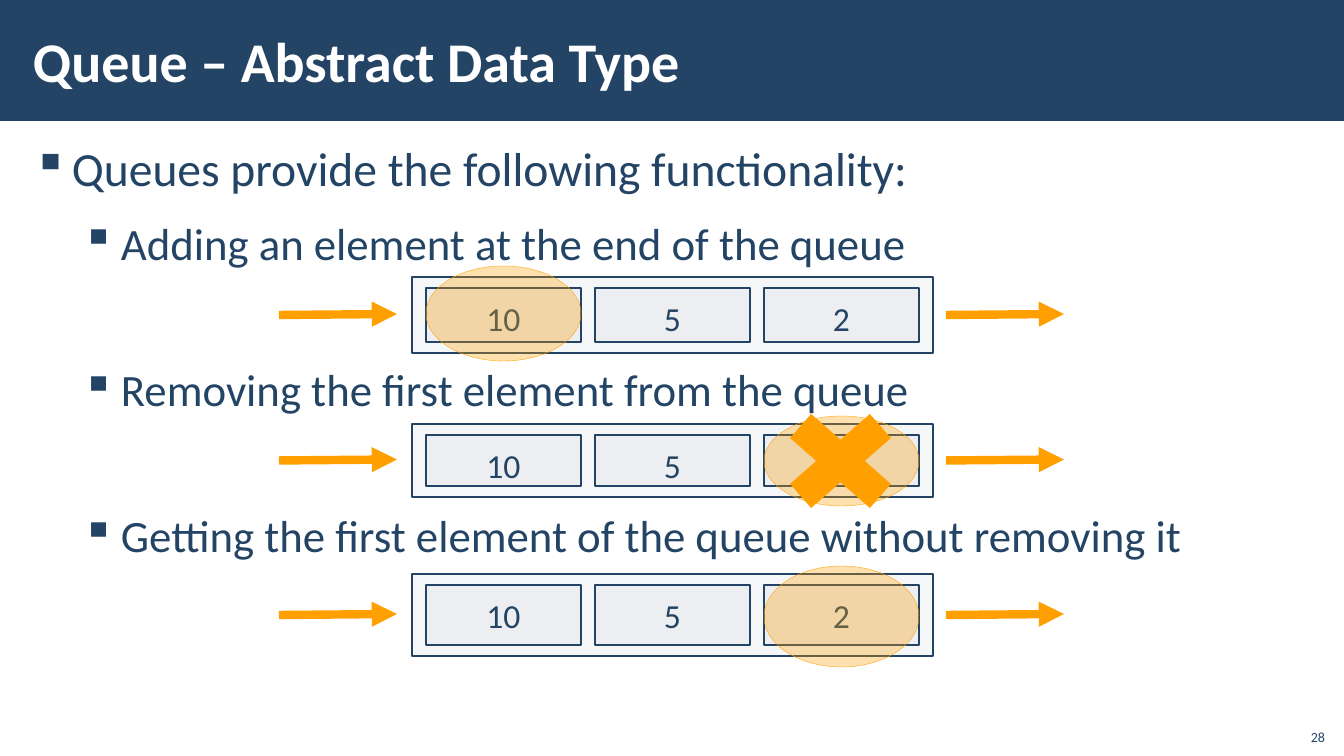
from lxml import etree
from pptx import Presentation
from pptx import util as u
from pptx.dml.color import RGBColor
from pptx.enum import shapes, text
from pptx.oxml.ns import qn

# Content
TITLE = "Queue – Abstract Data Type"
PAGE = "28"
INTRO = "Queues provide the following functionality:"
ELEMENTS = ["10", "5", "2"]
# Operation, queue top and height, marked element, marker top and height, crossed out
OPERATIONS = [
    ("Adding an element at the end of the queue", 277, 76, 0, 266, 95, False),
    ("Removing the first element from the queue", 424, 73, 2, 416, 90, True),
    ("Getting the first element of the queue without removing it",
     574, 82, 2, 566, 101, False),
]

# Look and measures in px
NAVY = RGBColor(0x23, 0x44, 0x65)
GREY = RGBColor(0xC2, 0xC7, 0xD2)
ORANGE = RGBColor(0xFF, 0xA0, 0x00)
WHITE = RGBColor(0xFF, 0xFF, 0xFF)
FONT = "Calibri"
PX = 914400 / 100.8
QUEUE_LEFT, QUEUE_WIDTH = 412, 521
CELL_LEFT, CELL_WIDTH, CELL_PITCH, CELL_MARGIN = 426, 155, 169, 11
ARROW_LEFTS, ARROW_LENGTH = (279, 946), 118
CROSS_WIDTH, CROSS_HEIGHT = 153, 134
KIND = shapes.MSO_SHAPE


def px(*lengths):
    return [u.Emu(round(n * PX)) for n in lengths]


def write(paragraph, words, size, color=NAVY, bold=False, align=None, indent=None,
          before=0, after=0, spacing=None):
    paragraph.alignment = align
    paragraph.space_before, paragraph.space_after = u.Pt(before), u.Pt(after)
    if spacing:
        paragraph.line_spacing = spacing
    if indent:
        props = paragraph._p.get_or_add_pPr()
        props.set("marL", str(px(indent)[0]))
        props.set("indent", str(px(-39)[0]))
        etree.SubElement(props, qn("a:buChar")).set("char", "▪")
    run = paragraph.add_run()
    run.text = words
    run.font.name, run.font.size, run.font.bold = FONT, u.Pt(size), bold
    run.font.color.rgb = color


def set_frame(frame, anchor, side, edge):
    frame.word_wrap = True
    frame.auto_size = text.MSO_AUTO_SIZE.NONE
    frame.vertical_anchor = anchor
    frame.margin_left = frame.margin_right = px(side)[0]
    frame.margin_top = frame.margin_bottom = px(edge)[0]
    return frame


def add_block(parent, kind, box, fill, line=None, width=1, opacity=100):
    block = parent.add_shape(kind, *px(*box))
    block.shadow.inherit = False
    block.fill.solid()
    block.fill.fore_color.rgb = fill
    if opacity < 100:
        color = block._element.spPr.find(f"{qn('a:solidFill')}/{qn('a:srgbClr')}")
        etree.SubElement(color, qn("a:alpha")).set("val", str(opacity * 1000))
    if line is None:
        block.line.fill.background()
    else:
        block.line.color.rgb, block.line.width = line, u.Pt(width)
    return block


def add_arrow(parent, left, y):
    arrow = parent.add_connector(shapes.MSO_CONNECTOR.STRAIGHT,
                                 *px(left, y, left + ARROW_LENGTH, y - 1))
    arrow.line.color.rgb, arrow.line.width = ORANGE, u.Pt(6)
    etree.SubElement(arrow.line._get_or_add_ln(), qn("a:tailEnd")).set("type", "triangle")
    etree.SubElement(arrow._element.spPr, qn("a:effectLst"))


def add_queue(slide, top, height, marked, mark_top, mark_height, crossed):
    group = slide.shapes.add_group_shape().shapes
    add_block(group, KIND.RECTANGLE, (QUEUE_LEFT, top, QUEUE_WIDTH, height),
              GREY, NAVY, opacity=15)
    lefts = [CELL_LEFT + i * CELL_PITCH for i in range(len(ELEMENTS))]
    for left, element in zip(lefts, ELEMENTS):
        cell = add_block(group, KIND.RECTANGLE,
                         (left, top + CELL_MARGIN, CELL_WIDTH, height - 2 * CELL_MARGIN),
                         GREY, NAVY, opacity=15)
        frame = set_frame(cell.text_frame, text.MSO_ANCHOR.TOP, 20, 10)
        write(frame.paragraphs[0], element, 24, align=text.PP_ALIGN.CENTER)
    for left in ARROW_LEFTS:
        add_arrow(group, left, top + height / 2)
    add_block(group, KIND.OVAL, (lefts[marked], mark_top, CELL_WIDTH, mark_height),
              ORANGE, ORANGE, 0.25, opacity=31)
    if crossed:
        cross_top = mark_top + (mark_height - CROSS_HEIGHT) / 2
        add_block(group, KIND.MATH_MULTIPLY,
                  (lefts[marked], cross_top, CROSS_WIDTH, CROSS_HEIGHT),
                  ORANGE, ORANGE, 0.25)


def main():
    deck = Presentation()
    deck.slide_width, deck.slide_height = px(1344, 756)
    slide = deck.slides.add_slide(deck.slide_layouts[5])

    # Title on its band
    title = slide.shapes.title
    band = add_block(slide.shapes, KIND.RECTANGLE, (0, 0, 1344, 121), NAVY)
    title._element.addprevious(band._element)
    title.left, title.top, title.width, title.height = px(21, 11, 1071, 98)
    frame = set_frame(title.text_frame, text.MSO_ANCHOR.MIDDLE, 12, 4)
    write(frame.paragraphs[0], TITLE, 40, WHITE, bold=True, align=text.PP_ALIGN.LEFT)

    # Bulleted operations, spaced to leave room for the queues
    body = slide.shapes.add_textbox(*px(21, 132, 1302, 610))
    frame = set_frame(body.text_frame, text.MSO_ANCHOR.TOP, 12, 4)
    write(frame.paragraphs[0], INTRO, 34, indent=39, after=6, spacing=1.05)
    for i, (operation, *_) in enumerate(OPERATIONS):
        write(frame.add_paragraph(), operation, 32, indent=88,
              before=58 if i else 6, after=6, spacing=1.05)

    # Queue diagrams
    for _, *queue in OPERATIONS:
        add_queue(slide, *queue)

    # Page number
    page = slide.shapes.add_textbox(*px(1295, 718, 40, 32))
    frame = set_frame(page.text_frame, text.MSO_ANCHOR.BOTTOM, 10, 5)
    write(frame.paragraphs[0], PAGE, 10, align=text.PP_ALIGN.RIGHT)

    deck.save("out.pptx")


if __name__ == "__main__":
    main()
